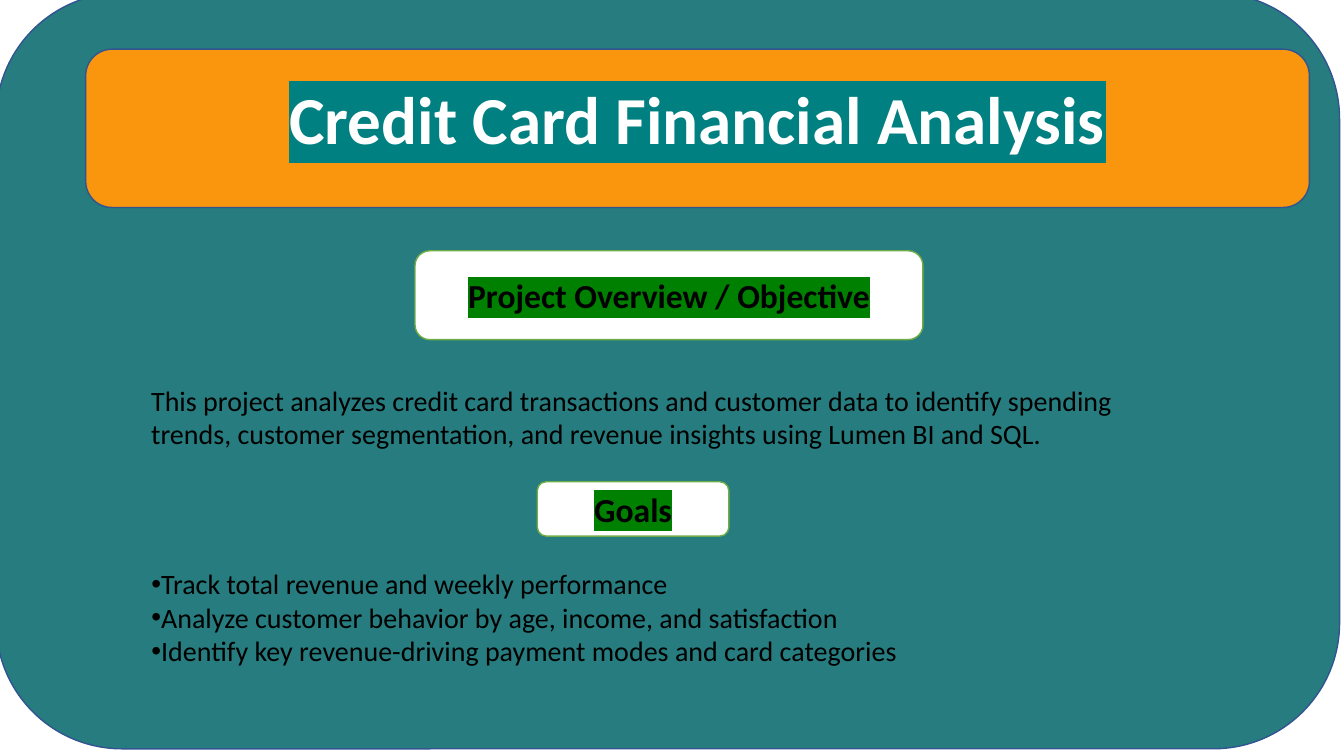
from lxml import etree
from pptx import Presentation
from pptx.dml.color import RGBColor
from pptx.enum.shapes import MSO_SHAPE
from pptx.enum.text import MSO_ANCHOR, MSO_AUTO_SIZE, PP_ALIGN
from pptx.oxml.ns import qn
from pptx.util import Cm, Pt

ROUNDED = MSO_SHAPE.ROUNDED_RECTANGLE
TOP, MIDDLE = MSO_ANCHOR.TOP, MSO_ANCHOR.MIDDLE
LEFT, CENTER = PP_ALIGN.LEFT, PP_ALIGN.CENTER
NO_AUTOFIT = MSO_AUTO_SIZE.NONE

TITLE = "Credit Card Financial Analysis"
OVERVIEW = (
    "This project analyzes credit card transactions and customer data to identify "
    "spending trends, customer segmentation, and revenue insights using Lumen BI and SQL."
)
GOALS = [
    "Track total revenue and weekly performance",
    "Analyze customer behavior by age, income, and satisfaction",
    "Identify key revenue-driving payment modes and card categories",
]

# Boxes are left, top, width, height in centimetres
SLIDE_SIZE = (33.87, 19.05)
BACKDROP_BOX = (-0.1, -0.18, 33.86, 19.05)
BANNER_BOX = (2.16, 1.24, 30.84, 3.99)
TITLE_BOX = (2.16, 1.24, 30.84, 3.45)
OVERVIEW_BOX = (3.56, 9.53, 26.54, 1.96)
GOALS_BOX = (3.56, 14.15, 25.73, 3.58)
HEADINGS = [
    ("Project Overview / Objective", (10.46, 6.32, 12.8, 2.24)),
    ("Goals", (13.54, 12.14, 4.83, 1.37)),
]

THEME = {
    "font": "Calibri",
    "backdrop": "267C7E",
    "banner": "FA950E",
    "panel_line": "325491",
    "heading_fill": "FFFFFF",
    "heading_line": "70AD47",
    "title": {"size": 48, "color": "FFFFFF", "bold": True, "highlight": "008080"},
    "heading": {"size": 24, "color": "000000", "bold": True, "highlight": "008000"},
    "body": {"size": 20, "color": "000000", "bold": False, "highlight": None},
}


def place(shape, box):
    for name, value in zip(("left", "top", "width", "height"), box):
        setattr(shape, name, Cm(value))


def add_panel(slide, box, fill, line):
    panel = slide.shapes.add_shape(ROUNDED, *map(Cm, box))
    panel.shadow.inherit = False
    panel.fill.solid()
    panel.fill.fore_color.rgb = RGBColor.from_string(fill)
    panel.line.color.rgb = RGBColor.from_string(line)
    panel.line.width = Pt(1)
    return panel


def highlight_run(run, color):
    """Mark the text background; the schema wants it right after the text fill."""
    properties = run.font._element
    highlight = etree.Element(qn("a:highlight"))
    etree.SubElement(highlight, qn("a:srgbClr"), val=color)
    properties.find(qn("a:solidFill")).addnext(highlight)


def add_bullet(paragraph):
    properties = paragraph._p.get_or_add_pPr()
    properties.set("marL", "0")
    properties.set("indent", "0")
    etree.SubElement(properties, qn("a:buFont"), typeface="Arial")
    etree.SubElement(properties, qn("a:buChar"), char="•")


def write(shape, lines, style, alignment=LEFT, anchor=TOP, bulleted=False):
    frame = shape.text_frame
    frame_format = {
        "word_wrap": True, "auto_size": NO_AUTOFIT, "vertical_anchor": anchor,
    }
    for name, value in frame_format.items():
        setattr(frame, name, value)
    frame.text = "\n".join(lines)
    font_format = {
        "name": THEME["font"], "size": Pt(style["size"]), "bold": style["bold"],
    }
    for paragraph in frame.paragraphs:
        paragraph.alignment = alignment
        paragraph.space_before = Pt(0)
        if bulleted:
            add_bullet(paragraph)
        run = paragraph.runs[0]
        for name, value in font_format.items():
            setattr(run.font, name, value)
        run.font.color.rgb = RGBColor.from_string(style["color"])
        if style["highlight"]:
            highlight_run(run, style["highlight"])


def main():
    presentation = Presentation()
    presentation.slide_width, presentation.slide_height = map(Cm, SLIDE_SIZE)
    slide = presentation.slides.add_slide(presentation.slide_layouts[1])
    title, goals = slide.placeholders

    add_panel(slide, BACKDROP_BOX, THEME["backdrop"], THEME["panel_line"])
    add_panel(slide, BANNER_BOX, THEME["banner"], THEME["panel_line"])
    for text, box in HEADINGS:
        heading = add_panel(slide, box, THEME["heading_fill"], THEME["heading_line"])
        write(heading, [text], THEME["heading"], CENTER, MIDDLE)

    overview = slide.shapes.add_textbox(*map(Cm, OVERVIEW_BOX))
    write(overview, [OVERVIEW], THEME["body"])

    # Placeholders start behind the panels, so bring them to the front
    for placeholder, box in ((title, TITLE_BOX), (goals, GOALS_BOX)):
        place(placeholder, box)
        slide.shapes.element.append(placeholder.element)
    write(title, [TITLE], THEME["title"], CENTER, MIDDLE)
    write(goals, GOALS, THEME["body"], bulleted=True)

    presentation.save("out.pptx")


if __name__ == "__main__":
    main()
